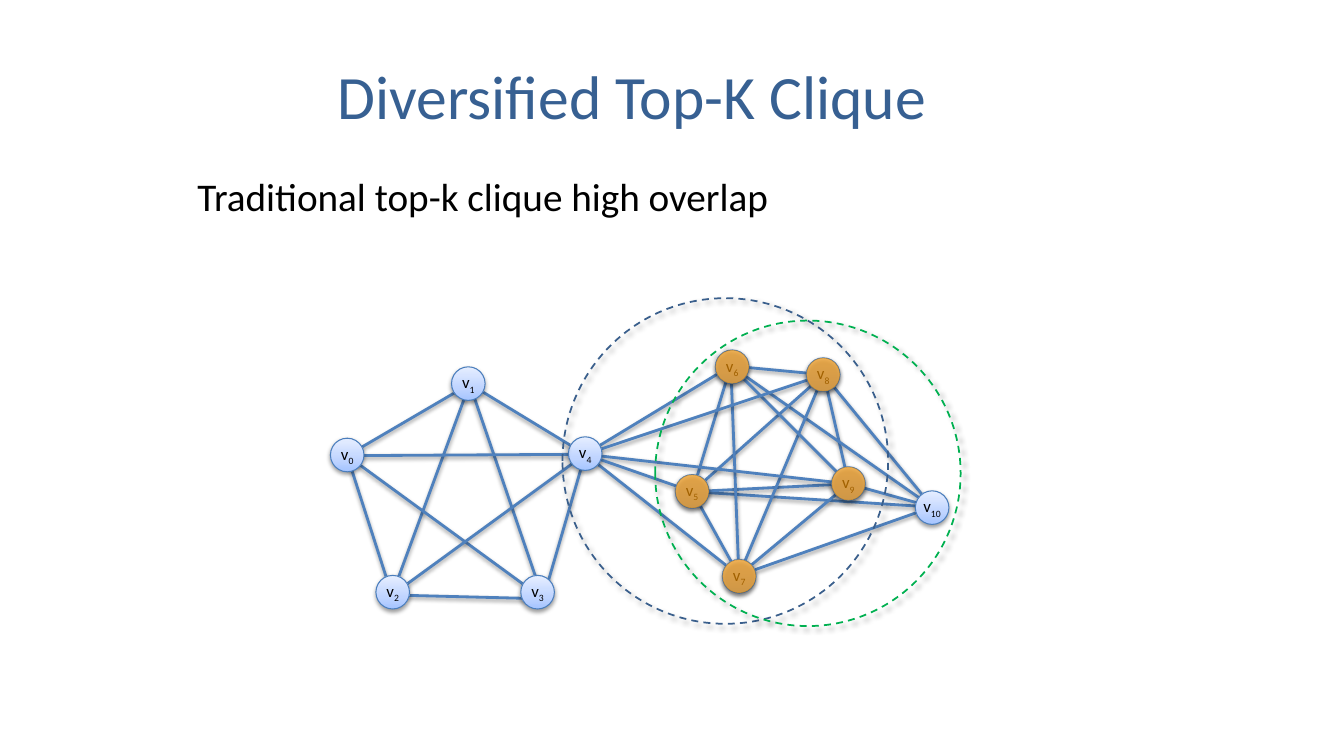
from dataclasses import dataclass

from lxml.etree import SubElement
from pptx import Presentation
from pptx.dml.color import RGBColor
from pptx.enum.dml import MSO_LINE
from pptx.enum.shapes import MSO_CONNECTOR, MSO_SHAPE
from pptx.enum.text import MSO_ANCHOR, MSO_AUTO_SIZE, PP_ALIGN
from pptx.oxml.ns import qn
from pptx.shapes.autoshape import Shape
from pptx.shapes.connector import Connector
from pptx.slide import Slide
from pptx.text.text import TextFrame, _Paragraph
from pptx.util import Pt


@dataclass(frozen=True)
class Theme:
    font: str = "Calibri"
    title_size: float = 44
    body_size: float = 28
    node_size: float = 12
    title: str = "376092"
    text: str = "000000"
    edge: str = "4F81BD"
    node_line: str = "4B7EBC"
    node_stops: tuple[tuple[int, str], ...] = ((0, "A4C4FF"), (35, "BFD4FF"), (100, "E6EEFF"))
    shared: str = "FF9900"
    shared_opacity: int = 63
    first_clique: str = "3A5F8C"
    second_clique: str = "00B050"


@dataclass(frozen=True)
class Shadow:
    opacity: int
    blur: float
    distance: float
    angle: int


@dataclass(frozen=True)
class Node:
    left: float
    top: float
    hub_x: float
    hub_y: float


@dataclass(frozen=True)
class Clique:
    left: float
    top: float
    diameter: float
    color: str


THEME = Theme()
SOFT = Shadow(38, 3.1, 1.6, 90)
CAST = Shadow(40, 4, 3, 45)
DIAMETER = 24

NODES = [
    Node(236, 313, 248, 325.5),
    Node(322.5, 262, 335.5, 274.3),
    Node(268.5, 411, 280, 425),
    Node(372, 411, 388, 427.7),
    Node(406, 312, 418, 324.5),
    Node(482.4, 339, 494.6, 351.2),
    Node(511, 250, 522, 261.4),
    Node(516, 399.6, 527.8, 411),
    Node(576, 255.6, 588.4, 267.6),
    Node(594, 333.4, 606.3, 345.6),
    Node(653.8, 350.6, 666, 362.2),
]
EDGES = [
    (4, 1), (0, 1), (0, 2), (4, 3), (2, 3), (1, 3), (1, 2), (0, 4), (0, 3), (2, 4),
    (8, 6), (10, 5), (9, 5), (8, 9), (6, 5), (7, 5), (7, 10), (10, 9), (10, 6), (7, 8),
    (10, 8), (5, 8), (6, 7), (6, 9), (7, 9), (6, 4), (7, 4), (8, 4), (9, 4), (5, 4),
]
CLIQUES = [
    Clique(401.8, 213, 232.6, THEME.first_clique),
    Clique(468, 229, 218.2, THEME.second_clique),
]
SHARED = [6, 8, 5, 9, 7]


def set_shadow(sp: Shape | Connector, shadow: Shadow) -> None:
    spPr = sp.element.spPr
    for old in spPr.findall(qn("a:effectLst")):
        spPr.remove(old)
    effects = SubElement(spPr, qn("a:effectLst"))
    outer = SubElement(
        effects, qn("a:outerShdw"), blurRad=str(Pt(shadow.blur)), dist=str(Pt(shadow.distance)),
        dir=str(shadow.angle * 60000), algn="ctr", rotWithShape="0",
    )
    color = SubElement(outer, qn("a:srgbClr"), val="000000")
    SubElement(color, qn("a:alpha"), val=str(shadow.opacity * 1000))


def set_line(sp: Shape | Connector, color: str, width: float) -> None:
    sp.line.color.rgb = RGBColor.from_string(color)
    sp.line.width = Pt(width)


def style_text(p: _Paragraph, size: float, color: str, align: PP_ALIGN) -> None:
    p.alignment = align
    p.font.name = THEME.font
    p.font.size = Pt(size)
    p.font.color.rgb = RGBColor.from_string(color)


def set_heading(tf: TextFrame, text: str, size: float, color: str) -> None:
    tf.word_wrap = True
    tf.auto_size = MSO_AUTO_SIZE.NONE
    tf.text = text
    style_text(tf.paragraphs[0], size, color, PP_ALIGN.LEFT)


def add_circle(s: Slide, kind: MSO_SHAPE, left: float, top: float, diameter: float) -> Shape:
    return s.shapes.add_shape(kind, Pt(left), Pt(top), Pt(diameter), Pt(diameter))


def add_edge(s: Slide, start: Node, end: Node) -> None:
    line = s.shapes.add_connector(
        MSO_CONNECTOR.STRAIGHT, Pt(start.hub_x), Pt(start.hub_y), Pt(end.hub_x), Pt(end.hub_y)
    )
    set_line(line, THEME.edge, 2)
    set_shadow(line, SOFT)


def add_node(s: Slide, index: int, node: Node) -> None:
    sp = add_circle(s, MSO_SHAPE.FLOWCHART_CONNECTOR, node.left, node.top, DIAMETER)
    grad = SubElement(sp.element.spPr, qn("a:gradFill"), rotWithShape="1")
    stops = SubElement(grad, qn("a:gsLst"))
    for position, color in THEME.node_stops:
        stop = SubElement(stops, qn("a:gs"), pos=str(position * 1000))
        SubElement(stop, qn("a:srgbClr"), val=color)
    SubElement(grad, qn("a:lin"), ang=str(270 * 60000), scaled="0")
    set_line(sp, THEME.node_line, 0.75)
    set_shadow(sp, SOFT)
    tf = sp.text_frame
    tf.margin_left = tf.margin_top = tf.margin_right = tf.margin_bottom = 0
    tf.vertical_anchor = MSO_ANCHOR.MIDDLE
    p = tf.paragraphs[0]
    style_text(p, THEME.node_size, THEME.text, PP_ALIGN.CENTER)
    p.add_run().text = "v"
    r = p.add_run()
    r.text = str(index)
    r._r.get_or_add_rPr().set("baseline", "-25000")


def add_clique(s: Slide, clique: Clique) -> None:
    sp = add_circle(s, MSO_SHAPE.OVAL, clique.left, clique.top, clique.diameter)
    sp.fill.background()
    set_line(sp, clique.color, 1.25)
    sp.line.dash_style = MSO_LINE.DASH
    set_shadow(sp, CAST)


def add_shared_mark(s: Slide, node: Node) -> None:
    sp = add_circle(s, MSO_SHAPE.FLOWCHART_CONNECTOR, node.left, node.top, DIAMETER)
    sp.fill.solid()
    sp.fill.fore_color.rgb = RGBColor.from_string(THEME.shared)
    color = sp.element.spPr.find(f"{qn('a:solidFill')}/{qn('a:srgbClr')}")
    SubElement(color, qn("a:alpha"), val=str(THEME.shared_opacity * 1000))
    sp.line.fill.background()
    set_shadow(sp, SOFT)


def main() -> None:
    prs = Presentation()
    prs.slide_width, prs.slide_height = Pt(960), Pt(540)
    s = prs.slides.add_slide(prs.slide_layouts[5])

    title = s.shapes.title
    title.left, title.top, title.width, title.height = Pt(157), Pt(36.7), Pt(720), Pt(62.6)
    tf = title.text_frame
    tf.margin_left = Pt(84)
    tf.vertical_anchor = MSO_ANCHOR.MIDDLE
    set_heading(tf, "Diversified Top-K Clique", THEME.title_size, THEME.title)

    for start, end in EDGES:
        add_edge(s, NODES[start], NODES[end])
    for index, node in enumerate(NODES):
        add_node(s, index, node)
    for clique in CLIQUES:
        add_clique(s, clique)
    for index in SHARED:
        add_shared_mark(s, NODES[index])

    body = s.shapes.add_textbox(Pt(134), Pt(119.5), Pt(648), Pt(54))
    set_heading(body.text_frame, "Traditional top-k clique high overlap", THEME.body_size, THEME.text)

    prs.save("out.pptx")


if __name__ == "__main__":
    main()
